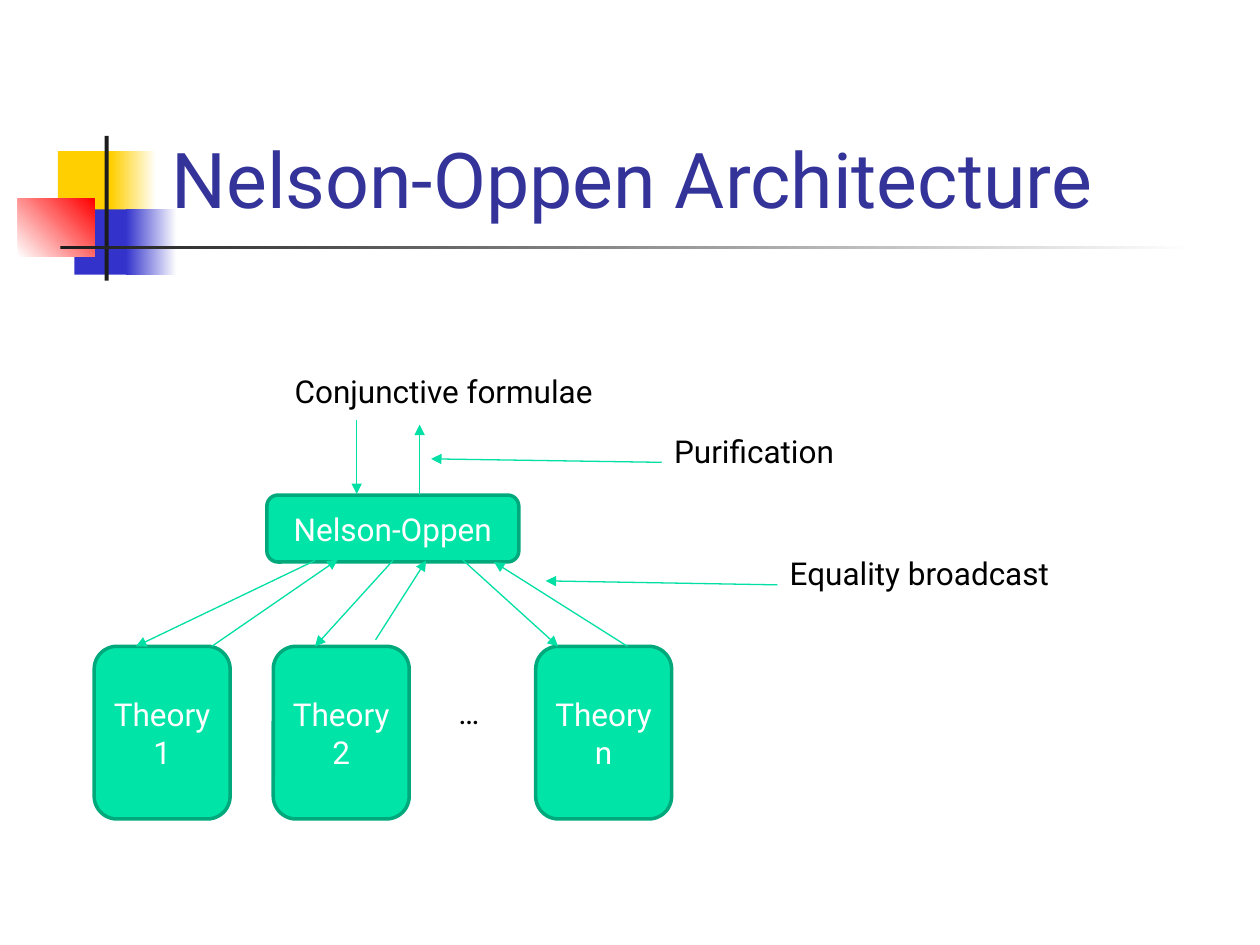
from dataclasses import dataclass

from lxml.etree import SubElement
from pptx import Presentation
from pptx.dml.color import RGBColor as Rgb
from pptx.enum.shapes import MSO_CONNECTOR as Connector, MSO_SHAPE as Shape
from pptx.enum.text import MSO_ANCHOR as Anchor, MSO_AUTO_SIZE as AutoSize, PP_ALIGN as Align
from pptx.oxml.ns import qn
from pptx.util import Cm, Pt


@dataclass(frozen=True)
class Theme:
    font: str = "Roboto"
    title_size: int = 44
    text_size: int = 18
    title: str = "333399"
    text: str = "000000"
    white: str = "FFFFFF"
    box: str = "00E4A8"
    box_edge: str = "00A97C"
    arrow: str = "00DFA4"
    yellow: str = "FFCF01"
    blue: str = "3333CC"
    red: str = "FF0000"
    dark: str = "1C1C1C"


theme = Theme()


def write(paragraph, words, color, size=theme.text_size, align=Align.LEFT):
    paragraph.alignment = align
    run = paragraph.add_run()
    run.text = words
    run.font.name = theme.font
    run.font.size = Pt(size)
    run.font.color.rgb = Rgb.from_string(color)


def place(preset, bounds):
    shape = slide.shapes.add_shape(preset, *map(Cm, bounds))
    shape.shadow.inherit = False
    return shape


deck = Presentation()
deck.slide_width, deck.slide_height = Cm(25.4), Cm(19.05)
slide = deck.slides.add_slide(deck.slide_layouts[5])

ornaments = [
    ((1.17, 3.05, 1.22, 1.32), [theme.yellow], 0),
    ((2.24, 3.05, 0.91, 1.32), [theme.yellow, theme.white], 0),
    ((1.5, 4.22, 1.17, 1.32), [theme.blue], 0),
    ((2.54, 4.22, 1.02, 1.32), [theme.blue, theme.white], 0),
    ((0.36, 4.01, 1.55, 1.17), [theme.white, theme.red], 45),
    ((2.11, 2.74, 0.08, 2.92), [theme.dark], 0),
    ((1.22, 4.95, 22.86, 0.08), [theme.dark, theme.white], 0),
]
for bounds, colors, angle in ornaments:
    ornament = place(Shape.RECTANGLE, bounds)
    ornament.line.fill.background()
    if len(colors) == 1:
        ornament.fill.solid()
        ornament.fill.fore_color.rgb = Rgb.from_string(colors[0])
    else:
        ornament.fill.gradient()
        ornament.fill.gradient_angle = angle
        for stop, color in zip(ornament.fill.gradient_stops, colors):
            stop.color.rgb = Rgb.from_string(color)

heading = slide.shapes.title
heading.element.getparent().append(heading.element)
heading.left, heading.top, heading.width, heading.height = map(Cm, (3.2, 0.58, 21.64, 4.06))
heading.text_frame.auto_size = AutoSize.NONE
heading.text_frame.vertical_anchor = Anchor.BOTTOM
write(heading.text_frame.paragraphs[0], "Nelson-Oppen Architecture", theme.title, theme.title_size)

boxes = [((5.38, 9.98, 5.08, 1.35), ["Nelson-Oppen"])]
for left, index in [(1.9, "1"), (5.51, "2"), (10.8, "n")]:
    boxes.append(((left, 13.03, 2.74, 3.48), ["Theory", index]))
for bounds, lines in boxes:
    box = place(Shape.ROUNDED_RECTANGLE, bounds)
    box.fill.solid()
    box.fill.fore_color.rgb = Rgb.from_string(theme.box)
    box.line.color.rgb = Rgb.from_string(theme.box_edge)
    box.line.width = Pt(2)
    frame = box.text_frame
    frame.word_wrap = True
    frame.vertical_anchor = Anchor.MIDDLE
    frame.margin_left = frame.margin_right = Cm(0.2)
    for position, words in enumerate(lines):
        paragraph = frame.add_paragraph() if position else frame.paragraphs[0]
        write(paragraph, words, theme.white, align=Align.CENTER)

labels = [
    ("Conjunctive formulae", 5.69, 7.37, 6.96),
    ("…", 8.99, 13.84, 3.61),
    ("Purification", 13.34, 8.59, 7.62),
    ("Equality broadcast", 15.67, 11.05, 7.62),
]
for words, left, top, width in labels:
    label = slide.shapes.add_textbox(Cm(left), Cm(top), Cm(width), Cm(1.02))
    label.text_frame.word_wrap = True
    label.text_frame.auto_size = AutoSize.SHAPE_TO_FIT_TEXT
    write(label.text_frame.paragraphs[0], words, theme.text)

arrows = [
    (7.19, 8.46, 7.19, 9.96),
    (8.46, 9.98, 8.46, 8.56),
    (6.35, 11.3, 2.74, 13.03),
    (7.92, 11.3, 6.35, 13.03),
    (9.32, 11.28, 11.25, 13.03),
    (7.57, 12.9, 8.59, 11.3),
    (4.27, 13.03, 6.81, 11.28),
    (12.65, 13.03, 9.96, 11.33),
    (13.34, 9.32, 8.69, 9.25),
    (15.67, 11.79, 11, 11.71),
]
for ends in arrows:
    arrow = slide.shapes.add_connector(Connector.STRAIGHT, *map(Cm, ends))
    arrow.line.color.rgb = Rgb.from_string(theme.arrow)
    arrow.line.width = Pt(0.75)
    SubElement(arrow.line._get_or_add_ln(), qn("a:tailEnd"), type="triangle")
    SubElement(arrow.element.spPr, qn("a:effectLst"))

deck.save("out.pptx")
